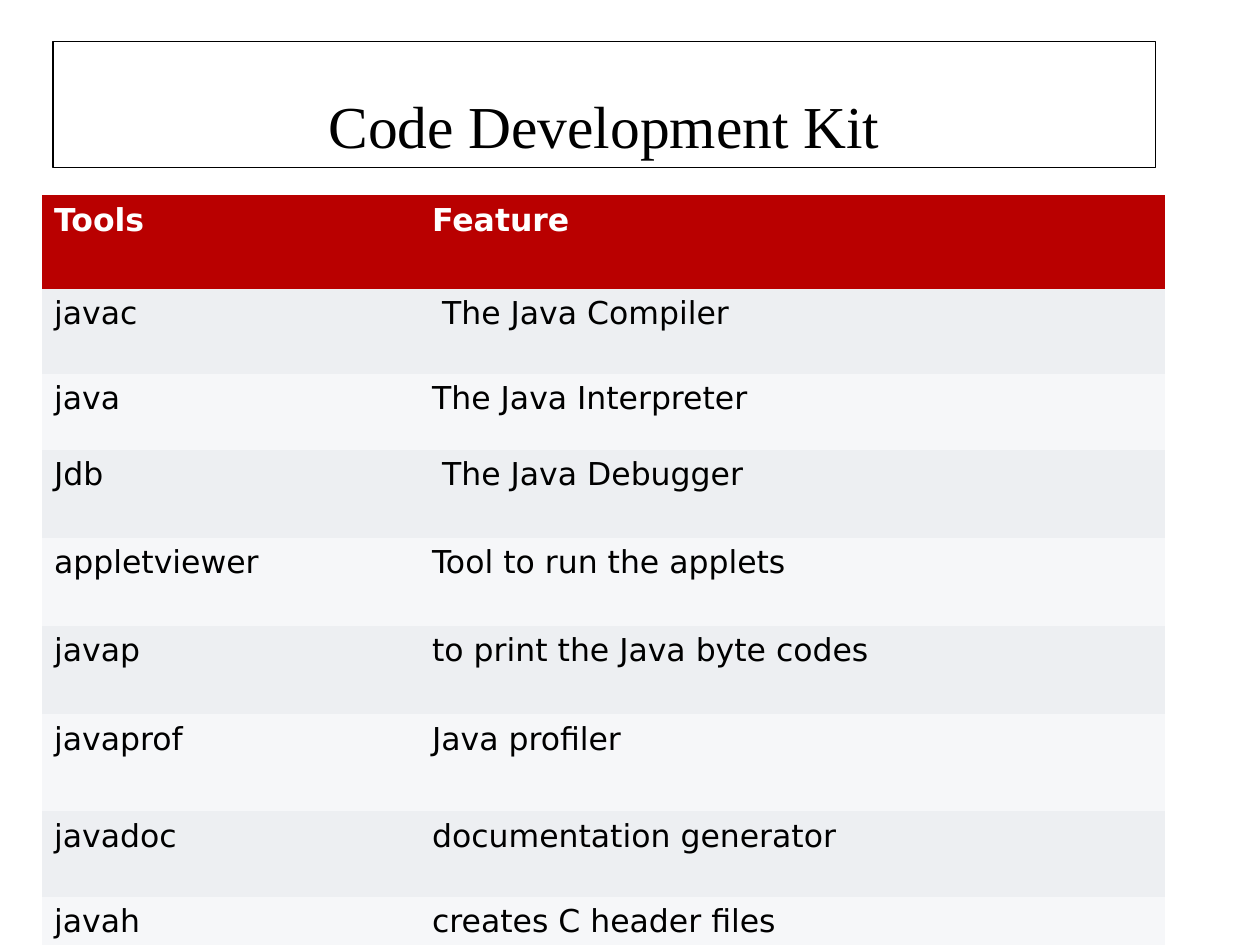
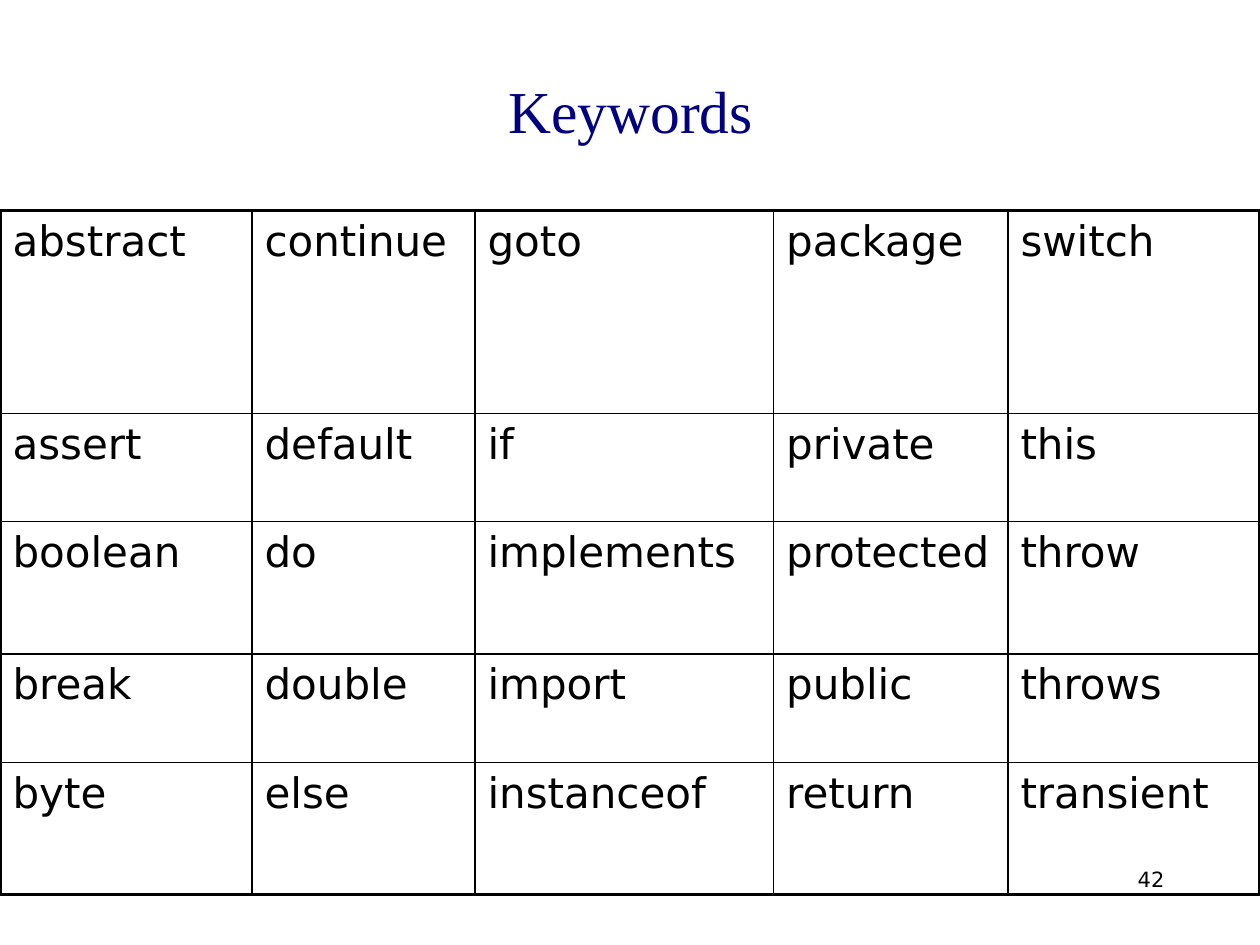
import pptx
import pptx.util
import pptx.dml.color
import pptx.enum.shapes
import pptx.enum.text
import pptx.oxml
import pptx.oxml.ns

Inches = pptx.util.Inches
Pt = pptx.util.Pt
RGBColor = pptx.dml.color.RGBColor
PP_ALIGN = pptx.enum.text.PP_ALIGN
MSO_ANCHOR = pptx.enum.text.MSO_ANCHOR

BLACK = RGBColor(0x00, 0x00, 0x00)
WHITE = RGBColor(0xFF, 0xFF, 0xFF)
NAVY = RGBColor(0x00, 0x00, 0x80)
RED = RGBColor(0xB9, 0x00, 0x00)
BANDS = (RGBColor(0xF6, 0xF7, 0xF9), RGBColor(0xED, 0xEF, 0xF2))

TITLE_FONT = "Times New Roman"
BODY_FONT = "DejaVu Sans"
PLAIN_TABLE_STYLE = "{2D5ABB26-0587-4C30-8999-92F81FD0307C}"
THIN, THICK = 0.91, 2.15

TOOLS = [
    ("Tools", "Feature"),
    ("javac", " The Java Compiler"),
    ("java", "The Java Interpreter"),
    ("Jdb", " The Java Debugger"),
    ("appletviewer", "Tool to run the applets"),
    ("javap", "to print the Java byte codes"),
    ("javaprof", "Java profiler"),
    ("javadoc", "documentation generator"),
    ("javah", "creates C header files"),
]
KEYWORDS = [
    ("abstract", "continue", "goto", "package", "switch"),
    ("assert", "default", "if", "private", "this"),
    ("boolean", "do", "implements", "protected", "throw"),
    ("break", "double", "import", "public", "throws"),
    ("byte", "else", "instanceof", "return", "transient"),
]


def write_text(frame, text, size, font=BODY_FONT, color=BLACK, bold=False,
               align=PP_ALIGN.LEFT, spacing=None):
    frame.word_wrap = True
    para = frame.paragraphs[0]
    para.alignment = align
    if spacing:
        para.line_spacing = spacing
    span = para.add_run()
    span.text = text
    span.font.size = Pt(size)
    span.font.name = font
    span.font.bold = bold
    span.font.color.rgb = color


def add_title(page, box, text, color=BLACK, framed=False,
              anchor=MSO_ANCHOR.MIDDLE, spacing=None):
    title = page.shapes.add_shape(pptx.enum.shapes.MSO_SHAPE.RECTANGLE,
                                  *map(Inches, box))
    title.shadow.inherit = False
    title.fill.background()
    if framed:
        title.line.color.rgb = BLACK
        title.line.width = Pt(0.75)
    else:
        title.line.fill.background()
    title.text_frame.vertical_anchor = anchor
    write_text(title.text_frame, text, 34, font=TITLE_FONT, color=color,
               align=PP_ALIGN.CENTER, spacing=spacing)


def add_grid(page, left, top, widths, heights, rows, size, bold_header=False,
             header_color=BLACK):
    frame = page.shapes.add_table(
        len(heights), len(widths), Inches(left), Inches(top),
        Inches(sum(widths)), Inches(sum(heights)))
    table = frame.table
    table.first_row = table.horz_banding = False
    style = table._tbl.tblPr.find(pptx.oxml.ns.qn("a:tableStyleId"))
    style.text = PLAIN_TABLE_STYLE
    for column, width in zip(table.columns, widths):
        column.width = Inches(width)
    for row, height in zip(table.rows, heights):
        row.height = Inches(height)
    for row_index, texts in enumerate(rows):
        is_header = row_index == 0
        for column_index, text in enumerate(texts):
            cell = table.cell(row_index, column_index)
            write_text(cell.text_frame, text, size, spacing=1.01,
                       bold=bold_header and is_header,
                       color=header_color if is_header else BLACK)
    return table


def add_border(cell, side, width):
    namespace = pptx.oxml.ns.nsdecls("a")
    cell._tc.get_or_add_tcPr().append(pptx.oxml.parse_xml(
        f'<a:ln{side} {namespace} w="{Pt(width)}"><a:solidFill>'
        f'<a:srgbClr val="{BLACK}"/></a:solidFill></a:ln{side}>'))


def rule_table(table):
    last_row = len(table.rows) - 1
    last_column = len(table.columns) - 1
    for row_index in range(last_row + 1):
        for column_index in range(last_column + 1):
            cell = table.cell(row_index, column_index)
            outer_sides = {
                "L": column_index == 0,
                "R": column_index == last_column,
                "T": row_index == 0,
                "B": row_index == last_row,
            }
            for side, is_outer in outer_sides.items():
                add_border(cell, side, THICK if is_outer else THIN)
            cell.fill.background()


def band_table(table):
    for row_index, row in enumerate(table.rows):
        for cell in row.cells:
            cell.fill.solid()
            cell.fill.fore_color.rgb = BANDS[row_index % 2] if row_index else RED


def add_page_number(page, box, number):
    label = page.shapes.add_textbox(*map(Inches, box))
    write_text(label.text_frame, number, 12, align=PP_ALIGN.RIGHT)


def build_tools_page(page):
    add_title(page, (0.42, 0.33, 8.75, 1), "Code Development Kit",
              framed=True, anchor=MSO_ANCHOR.BOTTOM, spacing=0.9)
    heights = (0.74, 0.68, 0.6, 0.7, 0.7, 0.7, 0.77, 0.68, 0.44)
    table = add_grid(page, 0.33, 1.55, (3, 5.92), heights, TOOLS, 18,
                     bold_header=True, header_color=WHITE)
    band_table(table)


def build_keywords_page(page):
    add_title(page, (0.63, 0.33, 8.75, 1.08), "Keywords", color=NAVY)
    table = add_grid(page, 0, 1.67, (2, 1.77, 2.37, 1.86, 2),
                     (1.61, 0.86, 1.05, 0.86, 1.05), KEYWORDS, 24)
    rule_table(table)
    add_page_number(page, (7.17, 6.83, 2.17, 0.52), "42")


def main():
    deck = pptx.Presentation()
    deck.slide_width = Inches(10)
    deck.slide_height = Inches(7.5)
    for build_page in (build_tools_page, build_keywords_page):
        build_page(deck.slides.add_slide(deck.slide_layouts[6]))
    deck.save("out.pptx")


if __name__ == "__main__":
    main()
